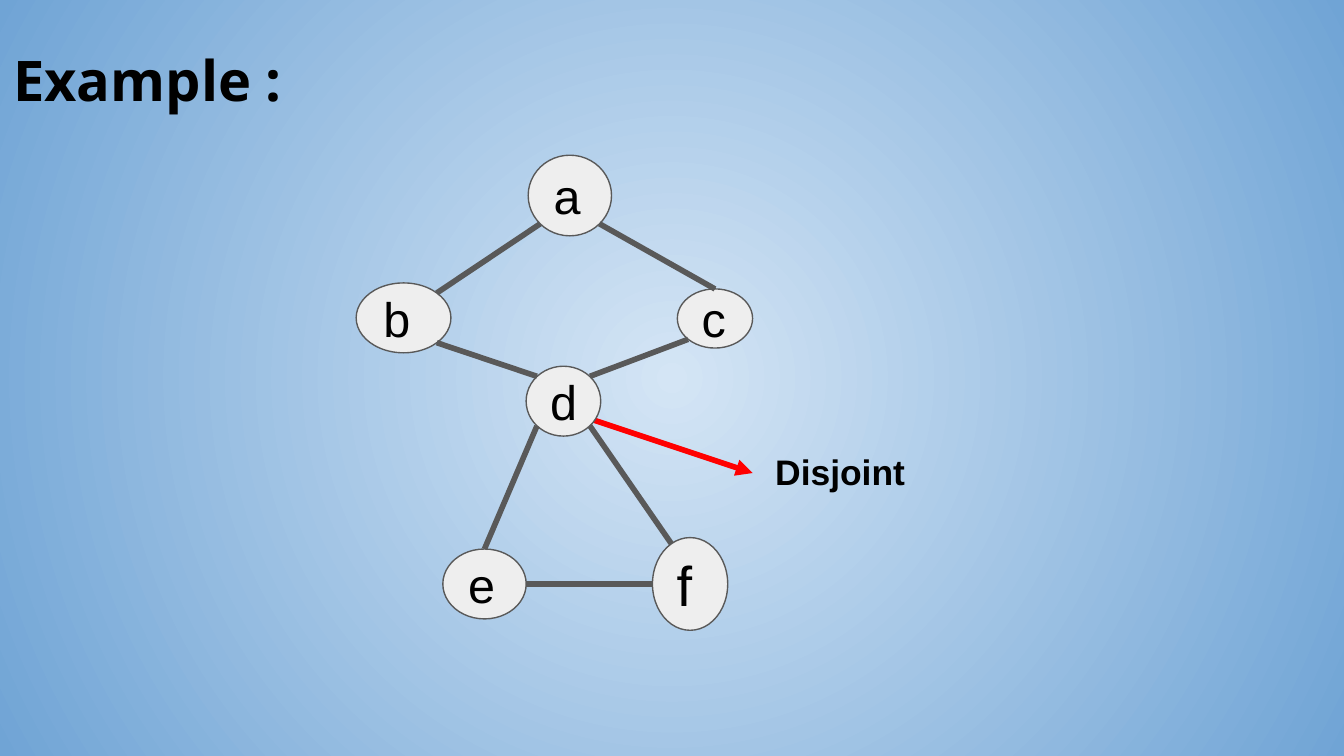
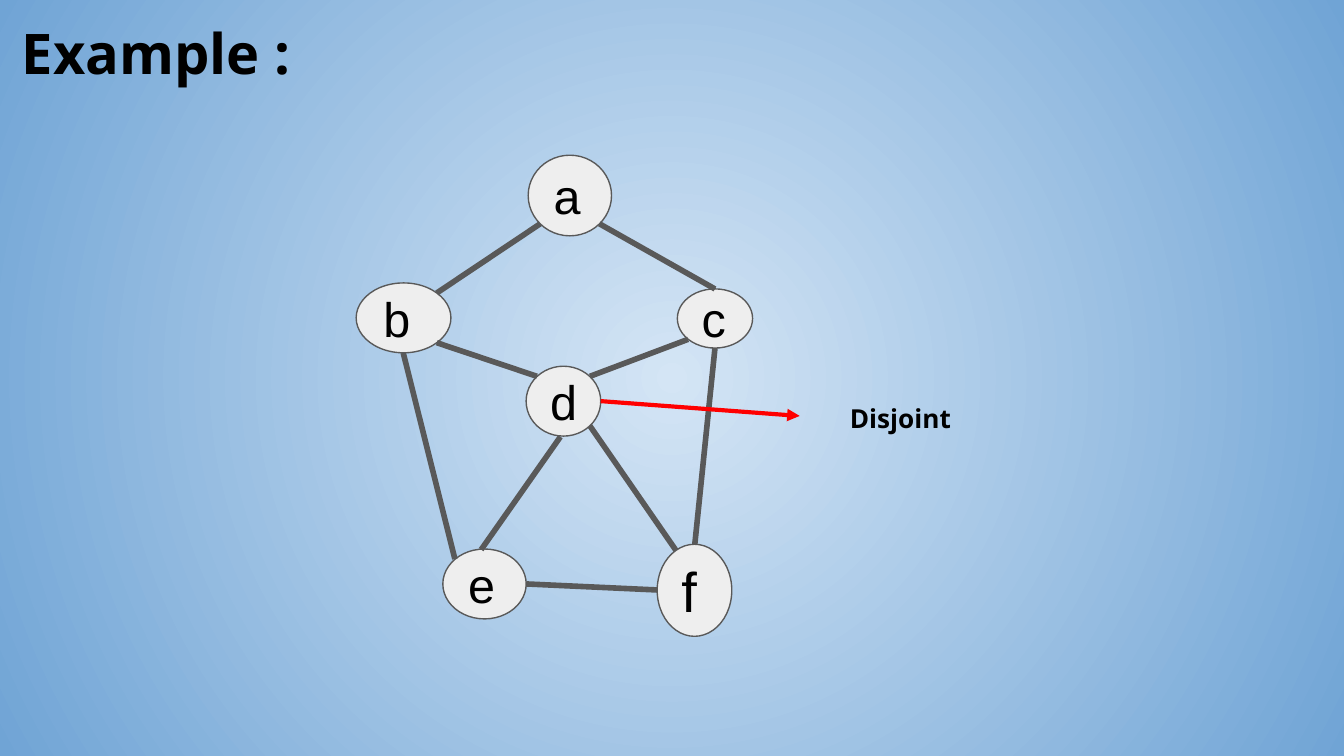
from dataclasses import dataclass

import lxml.etree
import pptx
import pptx.dml.color
import pptx.enum.shapes
import pptx.enum.text
import pptx.oxml.ns
import pptx.util

PX = 4572  # EMU; 200 px to the inch
WIDTH, HEIGHT = 2000, 1125
INSET = 20

BLACK, RED = "000000", "FF0000"
NODE_FILL, EDGE_COLOR = "EEEEEE", "595959"
BG_CENTER, BG_RIM = "D4E5F5", "70A4D5"
SANS, TITLE_FONT = "Arial", "Open Sans"

DIAGONAL = 0.5 ** 0.5
DIRECTIONS = {
    "N": (0, -1), "S": (0, 1), "W": (-1, 0), "E": (1, 0),
    "NW": (-DIAGONAL, -DIAGONAL), "NE": (DIAGONAL, -DIAGONAL),
    "SW": (-DIAGONAL, DIAGONAL), "SE": (DIAGONAL, DIAGONAL),
}

Point = tuple[int, int]
End = str | Point  # "a.SW" is the south-west site of node a


@dataclass(frozen=True)
class Node:
    name: str
    x: int
    y: int
    w: int
    h: int
    size: int = 26

    def site(self, side: str) -> Point:
        dx, dy = DIRECTIONS[side]
        return (round(self.x + self.w * (1 + dx) / 2),
                round(self.y + self.h * (1 + dy) / 2))


@dataclass(frozen=True)
class Edge:
    start: End
    end: End
    color: str = EDGE_COLOR
    weight: float = 3
    arrow: bool = False


@dataclass(frozen=True)
class Label:
    text: str
    x: int
    y: int
    w: int
    h: int
    size: int
    font: str


@dataclass(frozen=True)
class Graph:
    nodes: tuple[Node, ...]
    edges_behind: tuple[Edge, ...]
    edges: tuple[Edge, ...]
    labels: tuple[Label, ...]


def rgb(value: str) -> pptx.dml.color.RGBColor:
    return pptx.dml.color.RGBColor.from_string(value)


def px(*lengths: int) -> list[pptx.util.Emu]:
    return [pptx.util.Emu(n * PX) for n in lengths]


def paint_background(s) -> None:
    """Fill the slide with a gradient that runs from the centre outwards."""
    qn = pptx.oxml.ns.qn
    fill = s.background.fill
    fill.gradient()
    for stop, position, color in zip(fill.gradient_stops, (0, 1), (BG_CENTER, BG_RIM)):
        stop.position = position
        stop.color.rgb = rgb(color)
    grad = s.element.find(".//" + qn("a:gradFill"))
    grad.remove(grad.find(qn("a:lin")))
    radial = lxml.etree.Element(qn("a:path"), {"path": "circle"})
    lxml.etree.SubElement(radial, qn("a:fillToRect"),
                          {side: "50000" for side in "ltrb"})
    grad.find(qn("a:gsLst")).addnext(radial)


def write(tf, text: str, size: int, font: str, bold: bool = False) -> None:
    tf.word_wrap = True
    tf.margin_left, tf.margin_top, tf.margin_right, tf.margin_bottom = px(*[INSET] * 4)
    p = tf.paragraphs[0]
    p.alignment = pptx.enum.text.PP_ALIGN.LEFT
    r = p.add_run()
    r.text = text
    r.font.size = pptx.util.Pt(size)
    r.font.name = font
    r.font.bold = bold
    r.font.color.rgb = rgb(BLACK)


def draw_node(s, node: Node) -> None:
    sp = s.shapes.add_shape(pptx.enum.shapes.MSO_SHAPE.FLOWCHART_CONNECTOR,
                            *px(node.x, node.y, node.w, node.h))
    sp.shadow.inherit = False
    sp.fill.solid()
    sp.fill.fore_color.rgb = rgb(NODE_FILL)
    sp.line.color.rgb = rgb(EDGE_COLOR)
    sp.line.width = pptx.util.Pt(0.75)
    tf = sp.text_frame
    tf.vertical_anchor = pptx.enum.text.MSO_ANCHOR.MIDDLE
    write(tf, node.name, node.size, SANS)


def draw_edge(s, edge: Edge, nodes: dict[str, Node]) -> None:
    def locate(end: End) -> Point:
        if isinstance(end, str):
            name, side = end.split(".")
            return nodes[name].site(side)
        return end

    qn = pptx.oxml.ns.qn
    sp = s.shapes.add_connector(pptx.enum.shapes.MSO_CONNECTOR.STRAIGHT,
                                *px(*locate(edge.start), *locate(edge.end)))
    sp.line.color.rgb = rgb(edge.color)
    sp.line.width = pptx.util.Pt(edge.weight)
    properties = sp.element.spPr
    if edge.arrow:
        lxml.etree.SubElement(properties.find(qn("a:ln")), qn("a:tailEnd"),
                              {"type": "triangle"})
    lxml.etree.SubElement(properties, qn("a:effectLst"))


def draw_label(s, label: Label) -> None:
    sp = s.shapes.add_textbox(*px(label.x, label.y, label.w, label.h))
    write(sp.text_frame, label.text, label.size, label.font, bold=True)
    sp.text_frame.auto_size = pptx.enum.text.MSO_AUTO_SIZE.SHAPE_TO_FIT_TEXT


def title(x: int, y: int, w: int, h: int) -> Label:
    return Label("Example :", x, y, w, h, 30, TITLE_FONT)


def draw_graph(prs, graph: Graph) -> None:
    s = prs.slides.add_slide(prs.slide_layouts[6])
    paint_background(s)
    nodes = {node.name: node for node in graph.nodes}
    for edge in graph.edges_behind:
        draw_edge(s, edge, nodes)
    for node in graph.nodes:
        draw_node(s, node)
    for edge in graph.edges:
        draw_edge(s, edge, nodes)
    for label in graph.labels:
        draw_label(s, label)


SHARED_NODES = (
    Node("a", 786, 231, 124, 120),
    Node("b", 530, 421, 141, 104),
    Node("c", 1008, 430, 112, 88),
    Node("d", 783, 545, 111, 104),
    Node("e", 659, 817, 124, 104),
)
SHARED_EDGES = (
    Edge("a.SW", "b.NE"),
    Edge("a.SE", "c.N"),
    Edge("b.SE", "d.NW"),
    Edge("d.NE", "c.SW"),
    Edge("e.E", "f.W"),
)
D_TO_F = Edge("d.SE", (1008, 822))

GRAPHS = (
    Graph(
        nodes=SHARED_NODES + (Node("f", 971, 800, 112, 138, 30),),
        edges_behind=(D_TO_F, Edge((874, 622), (1120, 704), RED, arrow=True)),
        edges=SHARED_EDGES + (Edge("d.SW", "e.N"),),
        labels=(title(0, 48, 1558, 142),
                Label("Disjoint", 1134, 650, 866, 104, 19, SANS)),
    ),
    Graph(
        nodes=SHARED_NODES + (Node("f", 978, 810, 111, 137, 30),),
        edges_behind=(D_TO_F,),
        edges=SHARED_EDGES + (
            Edge((834, 650), (716, 818)),
            Edge("e.NW", "b.S"),
            Edge("c.S", "f.N"),
            Edge("d.E", (1190, 619), RED, 2.25, arrow=True),
        ),
        labels=(title(13, 8, 688, 188),
                Label("Disjoint", 1245, 579, 716, 88, 14, TITLE_FONT)),
    ),
)


def main() -> None:
    prs = pptx.Presentation()
    prs.slide_width, prs.slide_height = px(WIDTH, HEIGHT)
    for graph in GRAPHS:
        draw_graph(prs, graph)
    prs.save("out.pptx")


if __name__ == "__main__":
    main()
